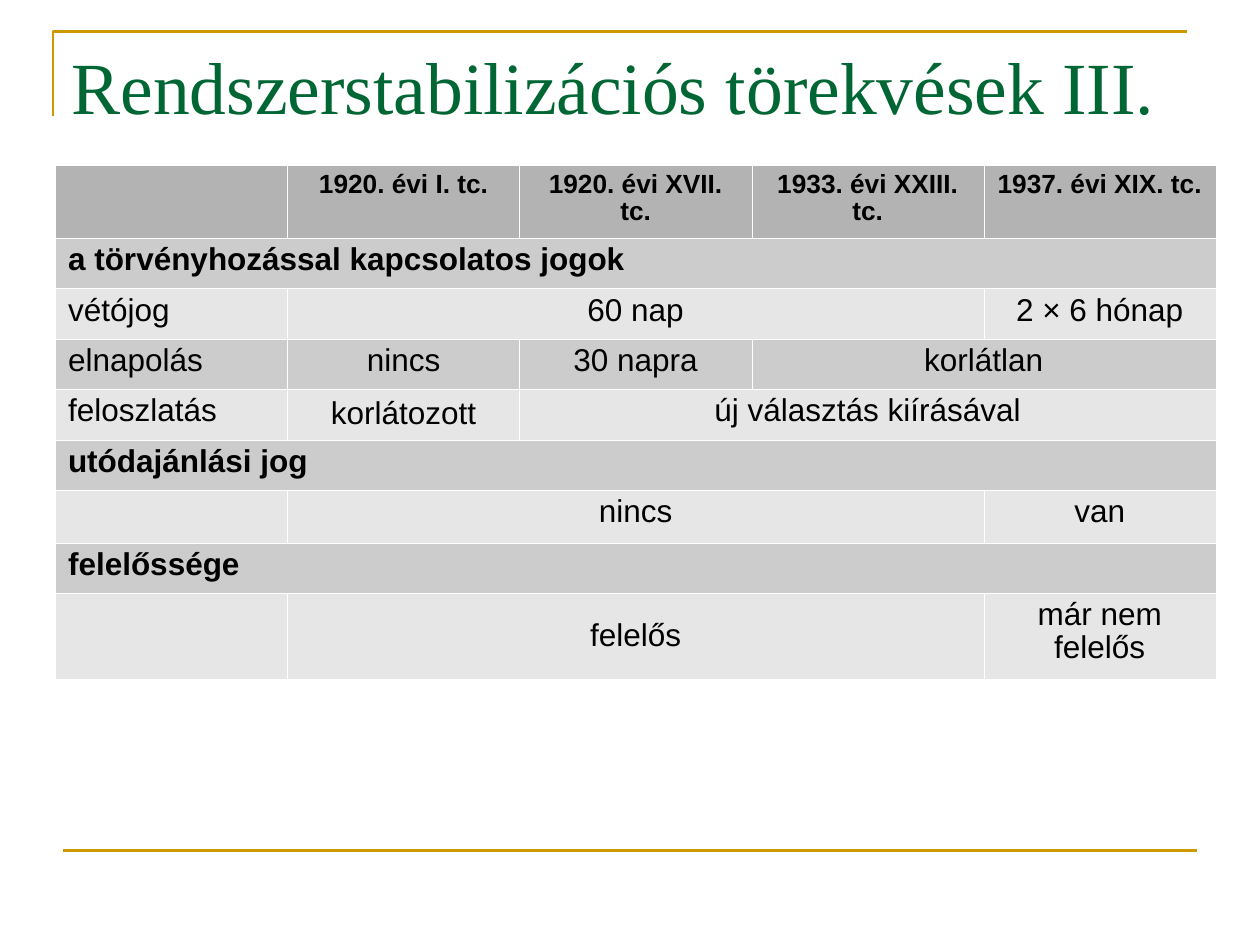
from lxml.etree import SubElement
from pptx import Presentation
from pptx.dml.color import RGBColor
from pptx.enum.shapes import MSO_CONNECTOR as Link
from pptx.enum.text import MSO_ANCHOR as Anchor, PP_ALIGN as Align
from pptx.oxml.ns import qn
from pptx.util import Inches, Pt

GOLD, GREEN, BLACK, WHITE = "CC9900", "006633", "000000", "FFFFFF"
HEAD, DARK, LIGHT = "B3B3B3", "CCCCCC", "E6E6E6"


def rgb(code):
    return RGBColor.from_string(code)


def write(frame, text, size=18, font="Arial", color=BLACK, bold=False,
          align=Align.LEFT, space=1.0):
    frame.word_wrap = True
    para = frame.paragraphs[0]
    para.alignment, para.line_spacing = align, space
    run = para.add_run()
    run.text = text
    run.font.size, run.font.name, run.font.bold = Pt(size), font, bold
    run.font.color.rgb = rgb(color)


deck = Presentation()
deck.slide_width, deck.slide_height = Inches(10), Inches(7.5)
slide = deck.slides.add_slide(deck.slide_layouts[6])
shapes = slide.shapes

# Gold corner and bottom rule
pen = shapes.build_freeform(Inches(0.42), Inches(0.92))
pen.add_line_segments([(Inches(0.42), Inches(0.25)),
                       (Inches(9.42), Inches(0.25))], close=False)
corner = pen.convert_to_shape()
corner.shadow.inherit = False
corner.fill.background()
rule = shapes.add_connector(Link.STRAIGHT, Inches(0.5), Inches(6.75),
                            Inches(9.5), Inches(6.75))
SubElement(rule._element.spPr, qn("a:effectLst"))
for edge in (corner, rule):
    edge.line.color.rgb = rgb(GOLD)
    edge.line.width = Pt(1.5)

title = shapes.add_textbox(Inches(0.47), Inches(0.28), Inches(9), Inches(1.13))
write(title.text_frame, "Rendszerstabilizációs törekvések III.", size=42,
      font="Times New Roman", color=GREEN)

# Each row: height, then (text, columns spanned)
rows = [
    (0.58, [("", 1), ("1920. évi I. tc.", 1), ("1920. évi XVII. tc.", 1),
            ("1933. évi XXIII. tc.", 1), ("1937. évi XIX. tc.", 1)]),
    (0.4, [("a törvényhozással kapcsolatos jogok", 5)]),
    (0.4, [("vétójog", 1), ("60 nap", 3), ("2 × 6 hónap", 1)]),
    (0.4, [("elnapolás", 1), ("nincs", 1), ("30 napra", 1), ("korlátlan", 2)]),
    (0.4, [("feloszlatás", 1), ("korlátozott", 1),
           ("új választás kiírásával", 3)]),
    (0.4, [("utódajánlási jog", 5)]),
    (0.42, [("", 1), ("nincs", 3), ("van", 1)]),
    (0.4, [("felelőssége", 5)]),
    (0.68, [("", 1), ("felelős", 3), ("már nem felelős", 1)]),
]
middle = {"korlátozott", "felelős"}
cols, wide = 5, 9.21
tall = sum(height for height, _ in rows)
table = shapes.add_table(len(rows), cols, Inches(0.44), Inches(1.31),
                         Inches(wide), Inches(tall)).table
for col in table.columns:
    col.width = Inches(wide / cols)

for r, (height, items) in enumerate(rows):
    table.rows[r].height = Inches(height)
    shade = HEAD if r == 0 else DARK if r % 2 else LIGHT
    for cell in table.rows[r].cells:
        props = cell._tc.get_or_add_tcPr()
        for side in ("lnL", "lnR", "lnT", "lnB"):
            line = SubElement(props, qn(f"a:{side}"), w=str(Pt(0.06)))
            fill = SubElement(line, qn("a:solidFill"))
            SubElement(fill, qn("a:srgbClr"), val=WHITE)
        cell.fill.solid()
        cell.fill.fore_color.rgb = rgb(shade)
    c = 0
    for text, span in items:
        cell = table.cell(r, c)
        if span > 1:
            cell.merge(table.cell(r, c + span - 1))
        if text in middle:
            cell.vertical_anchor = Anchor.MIDDLE
        if text:
            write(cell.text_frame, text, size=18 if r else 15,
                  bold=r == 0 or span == cols, space=0.93,
                  align=Align.CENTER if c else Align.LEFT)
        c += span

deck.save("out.pptx")
